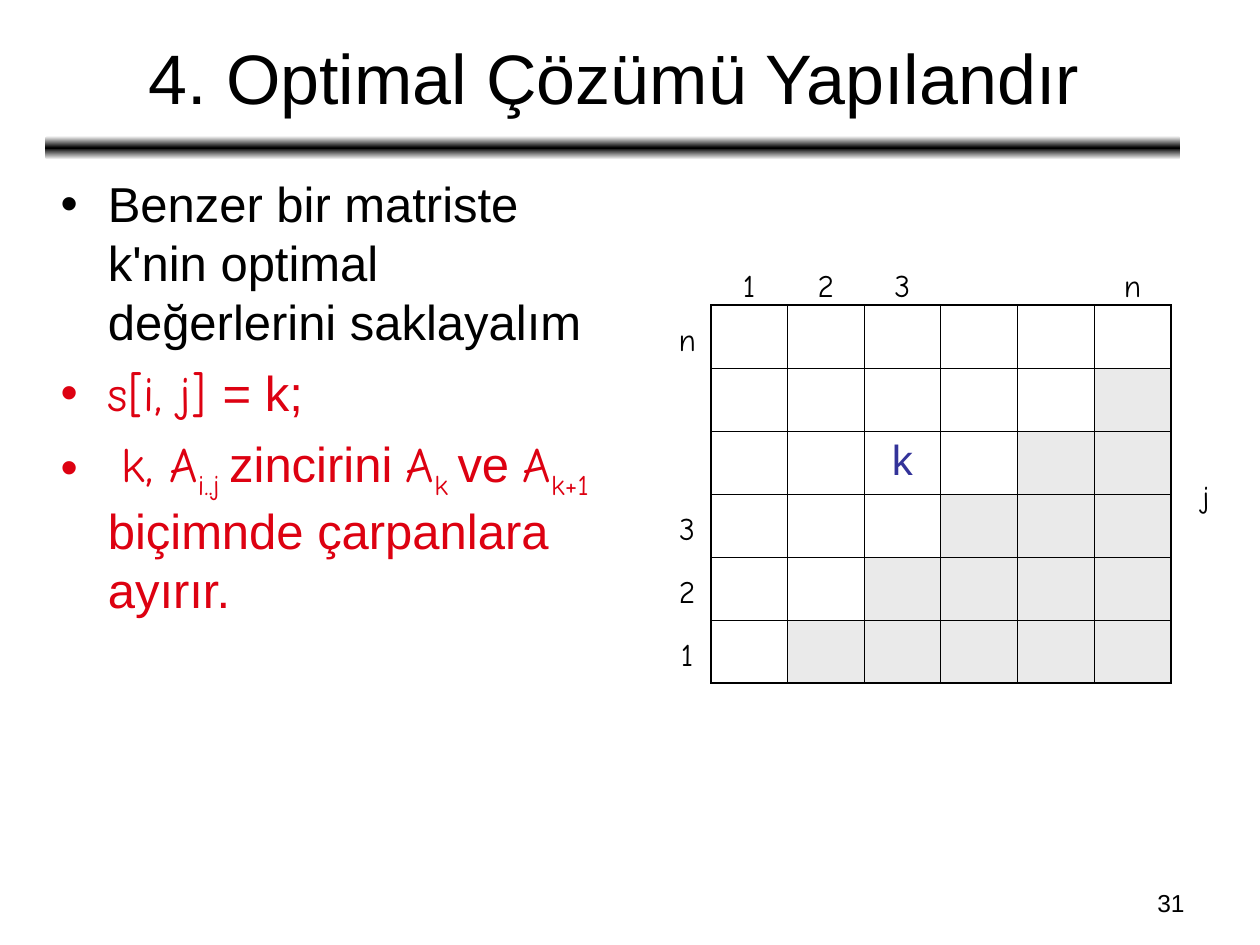
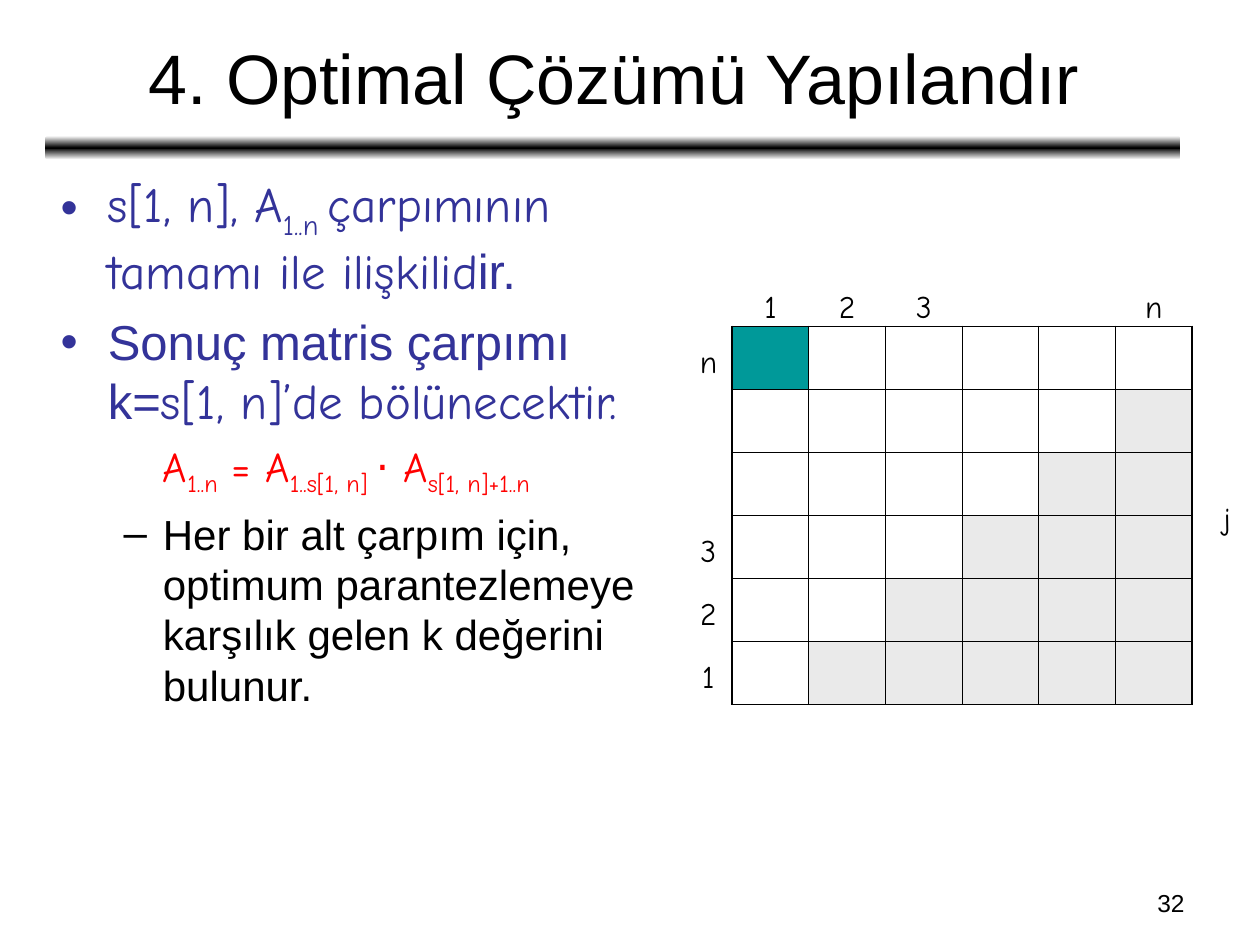
from copy import deepcopy

from lxml import etree
from pptx import Presentation
from pptx.dml.color import RGBColor
from pptx.enum.shapes import MSO_SHAPE
from pptx.enum.text import MSO_ANCHOR, MSO_AUTO_SIZE, PP_ALIGN
from pptx.oxml.ns import qn
from pptx.util import Cm, Pt

ROUNDED = MSO_SHAPE.ROUNDED_RECTANGLE
MIDDLE, NO_FIT = MSO_ANCHOR.MIDDLE, MSO_AUTO_SIZE.NONE
CENTER, RIGHT = PP_ALIGN.CENTER, PP_ALIGN.RIGHT

COLORS = {"black": "000000", "white": "FFFFFF", "gray": "EAEAEA", "teal": "009999",
          "blue": "333399", "crimson": "DD0111", "red": "FF0000"}
SANS, HAND = "Arial", "Comic Neue"
TITLE = "4. Optimal Çözümü Yapılandır"

LEVELS = {
    "item": {"lvl": 0, "margin": 0.95, "indent": -0.95, "before": 7, "size": 28},
    "formula": {"lvl": 1, "margin": 2.06, "indent": 0, "before": 6, "size": 24},
    "sub": {"lvl": 1, "margin": 2.06, "indent": -0.79, "before": 6, "size": 24},
}

SLIDES = [
    {
        "number": "31", "body_width": 11.56, "grid_at": (14.33, 6.15),
        "marks": {(2, 2): "k"}, "fills": {},
        "body": [
            ("item", "black", [(SANS, "Benzer bir matriste k'nin optimal değerlerini saklayalım")]),
            ("item", "crimson", [(HAND, "s[i, j] "), (SANS, "= k;")]),
            ("item", "crimson", [
                (SANS, " "), (HAND, "k, A"), (HAND, "i..j ", "sub"), (SANS, "zincirini "),
                (HAND, "A"), (HAND, "k ", "sub"), (SANS, "ve "),
                (HAND, "A"), (HAND, "k+1 ", "sub"), (SANS, "biçimnde çarpanlara ayırır."),
            ]),
        ],
    },
    {
        "number": "32", "body_width": 12.45, "grid_at": (14.76, 6.58),
        "marks": {}, "fills": {(0, 0): "teal"},
        "body": [
            ("item", "blue", [
                (HAND, "s[1, n], A"), (HAND, "1..n ", "sub"),
                (HAND, "çarpımının tamamı ile ilişkilid"), (SANS, "ir."),
            ]),
            ("item", "blue", [(SANS, "Sonuç matris çarpımı k="), (HAND, "s[1, n]’de bölünecektir.")]),
            ("formula", "red", [
                (HAND, "A"), (HAND, "1..n", "sub"), (HAND, " = A"), (HAND, "1..s[1, n] ", "sub"),
                (SANS, "⋅"), (HAND, " A"), (HAND, "s[1, n]+1..n", "sub"),
            ]),
            ("sub", "black", [
                (SANS, "Her bir alt çarpım için, optimum parantezlemeye karşılık gelen k değerini bulunur."),
            ]),
        ],
    },
]

SIZE, CELL_W, CELL_H = 6, 1.545, 1.27
THIN, THICK = 0.45, 1.08
LABEL_W, LABEL_H = 0.84, 1.02
COLUMN_LABELS = {0: "1", 1: "2", 2: "3", 5: "n"}
ROW_LABELS = {0: "n", 3: "3", 4: "2", 5: "1"}


def rgb(name):
    return RGBColor.from_string(COLORS[name])


def add_run(p, text, size, font=SANS, color="black", subscript=False):
    r = p.add_run()
    r.text = text
    r.font.size, r.font.name = Pt(size), font
    r.font.color.rgb = rgb(color)
    if subscript:
        r._r.get_or_add_rPr().set("baseline", "-25000")


def place(sp, left, top, width, height):
    sp.left, sp.top, sp.width, sp.height = map(Cm, (left, top, width, height))


def add_text(slide, box, text, size, font, align, wrap):
    tf = slide.shapes.add_textbox(*map(Cm, box)).text_frame
    tf.word_wrap = wrap
    p = tf.paragraphs[0]
    p.alignment = align
    add_run(p, text, size, font)


def add_band(slide, layout):
    sp = slide.shapes.add_shape(ROUNDED, Cm(0.91), Cm(2.74), Cm(22.89), Cm(0.48))
    sp.shadow.inherit = False
    sp.line.fill.background()
    sp.fill.gradient()
    sp.fill.gradient_angle = 90
    stops = sp.element.find(".//" + qn("a:gsLst"))
    stops.append(deepcopy(stops[-1]))
    for stop, position, color in zip(sp.fill.gradient_stops, (0, 0.5, 1), ("white", "black", "white")):
        stop.position = position
        stop.color.rgb = rgb(color)
    layout.shapes.element.append(sp.element)


def add_title(slide):
    sp = slide.shapes.title
    place(sp, 0.94, 0.28, 22.86, 2.51)
    tf = sp.text_frame
    tf.vertical_anchor, tf.auto_size = MIDDLE, NO_FIT
    p = tf.paragraphs[0]
    p.alignment = CENTER
    add_run(p, TITLE, 40)


def add_body(slide, paragraphs, width):
    sp = slide.placeholders[1]
    place(sp, 0.97, 3.38, width, 14.1)
    tf = sp.text_frame
    tf.auto_size = NO_FIT
    for i, (kind, color, runs) in enumerate(paragraphs):
        level = LEVELS[kind]
        p = tf.add_paragraph() if i else tf.paragraphs[0]
        p.level = level["lvl"]
        pPr = p._p.get_or_add_pPr()
        pPr.set("marL", str(Cm(level["margin"])))
        pPr.set("indent", str(Cm(level["indent"])))
        if kind == "formula":
            etree.SubElement(pPr, qn("a:buNone"))
        p.space_before = Pt(level["before"] if i else 0)
        for font, text, *script in runs:
            add_run(p, text, level["size"], font, color, bool(script))


def set_borders(cell, row, col):
    outer = {"L": col == 0, "R": col == SIZE - 1, "T": row == 0, "B": row == SIZE - 1}
    tcPr = cell._tc.get_or_add_tcPr()
    for side, is_outer in outer.items():
        ln = etree.SubElement(tcPr, qn("a:ln" + side), w=str(Pt(THICK if is_outer else THIN)))
        fill = etree.SubElement(ln, qn("a:solidFill"))
        etree.SubElement(fill, qn("a:srgbClr"), val=COLORS["black"])


def add_grid(slide, left, top, marks, fills):
    box = left, top, SIZE * CELL_W, SIZE * CELL_H
    table = slide.shapes.add_table(SIZE, SIZE, *map(Cm, box)).table
    table.first_row = table.horz_banding = False
    for i in range(SIZE):
        table.columns[i].width = Cm(CELL_W)
        table.rows[i].height = Cm(CELL_H)
    for row in range(SIZE):
        for col in range(SIZE):
            cell = table.cell(row, col)
            set_borders(cell, row, col)
            shade = "gray" if row + col >= SIZE else "white"
            cell.fill.solid()
            cell.fill.fore_color.rgb = rgb(fills.get((row, col), shade))
            if (row, col) in marks:
                p = cell.text_frame.paragraphs[0]
                p.alignment = CENTER
                add_run(p, marks[row, col], 24, color="blue")


def add_grid_labels(slide, left, top):
    labels = [(text, (col + 0.5) * CELL_W, -0.41) for col, text in COLUMN_LABELS.items()]
    labels += [(text, -0.48, (row + 0.5) * CELL_H + 0.06) for row, text in ROW_LABELS.items()]
    labels.append(("j", 9.98, 3.86))
    for text, x, y in labels:
        box = left + x - LABEL_W / 2, top + y - LABEL_H / 2, LABEL_W, LABEL_H
        add_text(slide, box, text, 18, HAND, CENTER, False)


def main():
    prs = Presentation()
    prs.slide_width, prs.slide_height = Cm(25.4), Cm(19.05)
    layout = prs.slide_layouts[1]
    for i, content in enumerate(SLIDES):
        slide = prs.slides.add_slide(layout)
        if i == 0:
            add_band(slide, layout)
        add_title(slide)
        add_body(slide, content["body"], content["body_width"])
        add_grid(slide, *content["grid_at"], content["marks"], content["fills"])
        add_grid_labels(slide, *content["grid_at"])
        add_text(slide, (18.21, 17.78, 5.92, 0.89), content["number"], 14, SANS, RIGHT, True)
    prs.save("out.pptx")


if __name__ == "__main__":
    main()
